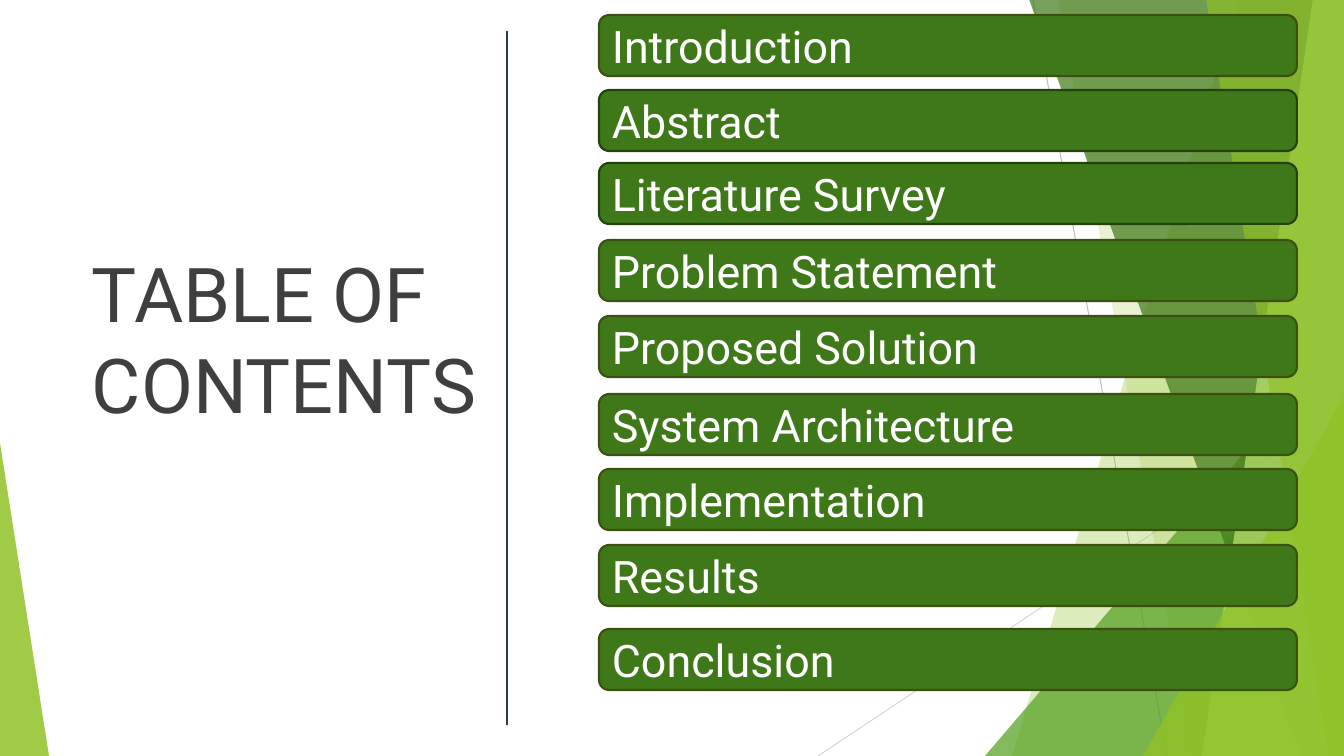
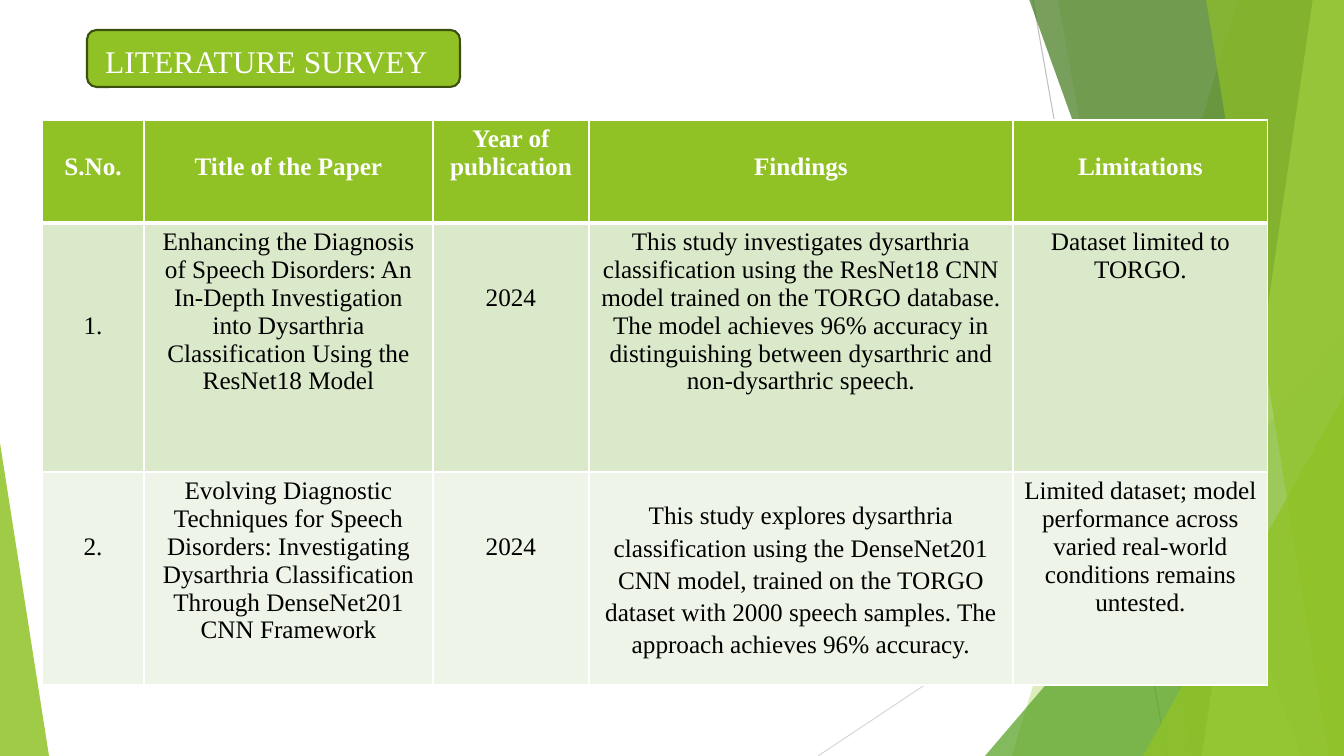
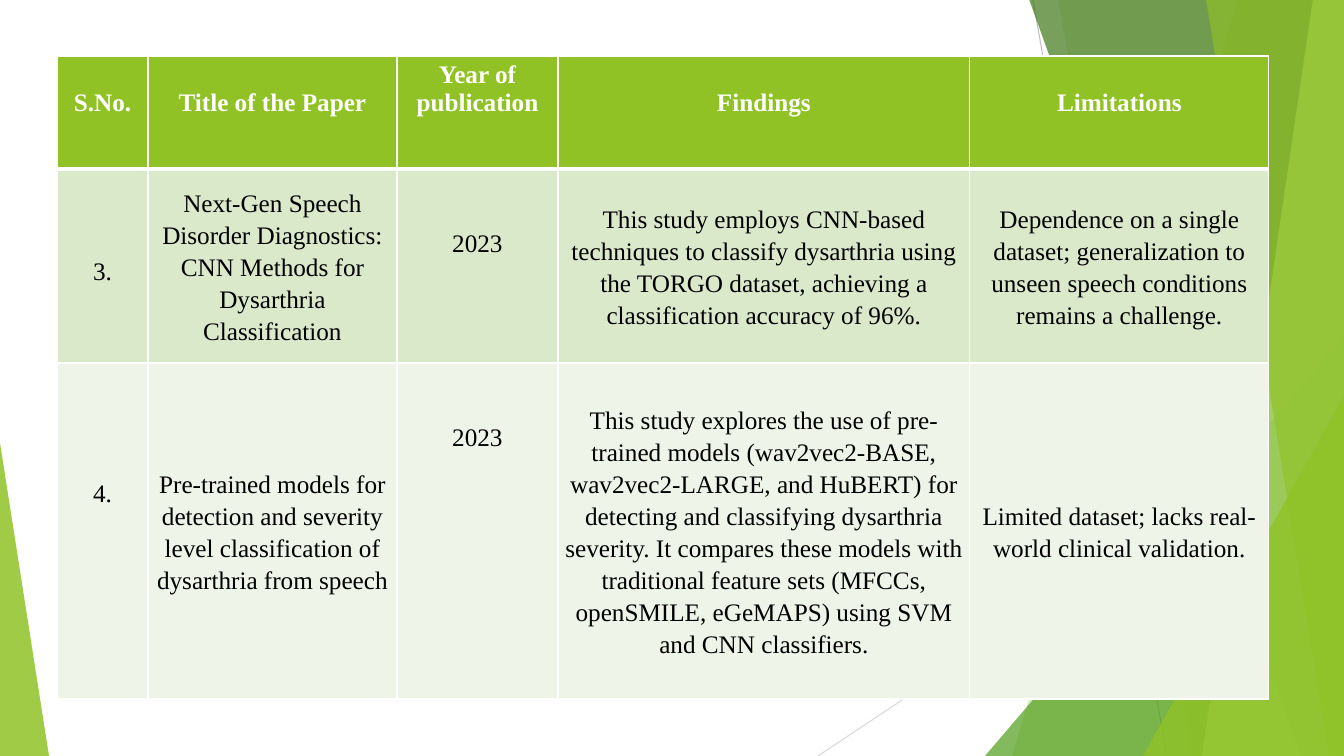
from lxml import etree
from pptx import Presentation
from pptx import util as u
from pptx.dml.color import RGBColor
from pptx.enum import shapes as es, text as et
from pptx.oxml.ns import qn

PX = 914400 / 100.8
WIDTH, HEIGHT = 1344, 756
SANS, SERIF = "Roboto", "Times New Roman"
WHITE, BLACK, GREY = "FFFFFF", "000000", "3F3F3F"
LIME, GREEN, OLIVE, FOREST = "90C226", "3F7818", "3C5110", "23430D"
ROW_FILLS = [LIME, "DBE9CB", "EEF4E7"]

# Backdrop: lines are (x1, y1, x2, y2, colour); bands run from a slanted left
# edge (top x, bottom x) to the right side; triangles have an apex at 0 or 1.
BACK_LINES = [(1033, 0, 1167, 756, "BFBFBF"), (1344, 406, 818, 756, "D8D8D8")]
BACKDROP = [
    ("band", (1238, 1012), LIME, 30),
    ("band", (1058, 1192), LIME, 20),
    ("triangle", (985, 336, 359, 420, 1), "54A021", 72),
    ("band", (1029, 1301), GREEN, 70),
    ("band", (1313, 1202), "BFE471", 70),
    ("band", (1206, 1329), LIME, 65),
    ("triangle", (1143, 396, 201, 360, 1), LIME, 80),
    ("triangle", (0, 443, 49, 313, 0), LIME, 85),
]

# Contents entries: text, top, outline colour
CONTENTS = [
    ("Introduction", 15, OLIVE),
    ("Abstract", 90, FOREST),
    ("Literature Survey", 163, FOREST),
    ("Problem Statement", 240, OLIVE),
    ("Proposed Solution", 316, OLIVE),
    ("System Architecture", 394, OLIVE),
    ("Implementation", 469, OLIVE),
    ("Results", 545, OLIVE),
    ("Conclusion", 629, OLIVE),
]

# Table cells: text, then the number of lines it is lowered by, or MID
MID = "middle"
HEADER = [("S.No.", 1), ("Title of the Paper", 1), ("Year of publication", 0),
          ("Findings", 1), ("Limitations", 1)]
SURVEY_1 = dict(
    left=42, top=120, cols=[102, 289, 156, 424, 255], heights=[103, 249, 213],
    rows=[
        HEADER,
        [("1.", 3),
         ("Enhancing the Diagnosis of Speech Disorders: An In-Depth Investigation "
          "into Dysarthria Classification Using the ResNet18 Model", 0),
         ("2024", 2),
         ("This study investigates dysarthria classification using the ResNet18 CNN "
          "model trained on the TORGO database. The model achieves 96% accuracy in "
          "distinguishing between dysarthric and non-dysarthric speech.", 0),
         ("Dataset limited to TORGO.", 0)],
        [("2.", 2),
         ("Evolving Diagnostic Techniques for Speech Disorders: Investigating "
          "Dysarthria Classification Through DenseNet201 CNN Framework", 0),
         ("2024", 2),
         ("This study explores dysarthria classification using the DenseNet201 CNN "
          "model, trained on the TORGO dataset with 2000 speech samples. The "
          "approach achieves 96% accuracy.", MID),
         ("Limited dataset; model performance across varied real-world conditions "
          "remains untested.", 0)],
    ])
SURVEY_2 = dict(
    left=57, top=56, cols=[91, 249, 161, 412, 299], heights=[113, 194, 336],
    rows=[
        HEADER,
        [("3.", 3),
         ("Next-Gen Speech Disorder Diagnostics: CNN Methods for Dysarthria "
          "Classification", MID),
         ("2023", 2),
         ("This study employs CNN-based techniques to classify dysarthria using the "
          "TORGO dataset, achieving a classification accuracy of 96%.", MID),
         ("Dependence on a single dataset; generalization to unseen speech "
          "conditions remains a challenge.", MID)],
        [("4.", 4),
         ("Pre-trained models for detection and severity level classification of "
          "dysarthria from speech", MID),
         ("2023", 2),
         ("This study explores the use of pre-trained models (wav2vec2-BASE, "
          "wav2vec2-LARGE, and HuBERT) for detecting and classifying dysarthria "
          "severity. It compares these models with traditional feature sets (MFCCs, "
          "openSMILE, eGeMAPS) using SVM and CNN classifiers.", MID),
         ("Limited dataset; lacks real-world clinical validation.", MID)],
    ])


def px(n):
    return u.Emu(round(n * PX))


def rgb(value):
    return RGBColor.from_string(value)


def write(tf, text, size=18, font=SERIF, color=BLACK, bold=False,
          align=et.PP_ALIGN.LEFT, spacing=None):
    tf.word_wrap = True
    p = tf.paragraphs[0]
    p.alignment = align
    if spacing:
        p.line_spacing = spacing
    r = p.add_run()
    r.text = text
    f = r.font
    f.size, f.name, f.bold, f.color.rgb = u.Pt(size), font, bold, rgb(color)


def paint(sp, color, outline=None, alpha=None):
    sp.shadow.inherit = False
    sp.fill.solid()
    sp.fill.fore_color.rgb = rgb(color)
    if alpha:
        clr = sp.element.spPr.find(qn("a:solidFill"))[0]
        etree.SubElement(clr, qn("a:alpha"), val=str(alpha * 1000))
    if outline:
        sp.line.color.rgb, sp.line.width = rgb(outline), u.Pt(1.5)
    else:
        sp.line.fill.background()


def add_line(shapes, x1, y1, x2, y2, color, width=0.75):
    c = shapes.add_connector(es.MSO_CONNECTOR.STRAIGHT, px(x1), px(y1), px(x2), px(y2))
    c.line.color.rgb, c.line.width = rgb(color), u.Pt(width)
    etree.SubElement(c.element.spPr, qn("a:effectLst"))


def add_bar(s, left, top, width, height, fill, outline):
    bar = s.shapes.add_shape(es.MSO_SHAPE.ROUNDED_RECTANGLE,
                             px(left), px(top), px(width), px(height))
    paint(bar, fill, outline)
    return bar


def set_title(s, text, box, anchor, inset=10, **fmt):
    title = s.shapes.title
    title.left, title.top, title.width, title.height = map(px, box)
    tf = title.text_frame
    tf.auto_size, tf.vertical_anchor = et.MSO_AUTO_SIZE.NONE, anchor
    tf.margin_left = px(inset)
    write(tf, text, **fmt)
    return title


def add_backdrop(prs, s):
    """Draw the shared backdrop as a group and move it to the slide master."""
    group = s.shapes.add_group_shape()
    for line in BACK_LINES:
        add_line(group.shapes, *line)
    for kind, geometry, color, alpha in BACKDROP:
        if kind == "band":
            top_x, bottom_x = geometry
            outline = group.shapes.build_freeform(top_x, -1, scale=PX)
            outline.add_line_segments([(WIDTH, -1), (WIDTH, HEIGHT), (bottom_x, HEIGHT)])
            sp = outline.convert_to_shape()
        else:
            *box, apex = geometry
            sp = group.shapes.add_shape(es.MSO_SHAPE.ISOSCELES_TRIANGLE, *map(px, box))
            sp.adjustments[0] = apex
        paint(sp, color, alpha=alpha)
    for number, props in enumerate(group.element.iter(qn("p:cNvPr")), 100):
        props.set("id", str(number))
    prs.slide_master.shapes.element.insert(2, group.element)


def set_borders(cell, **widths):
    """Draw white cell borders; widths are points by side (L, R, T, B)."""
    tc_pr = cell._tc.get_or_add_tcPr()
    for side in "LRTB":
        ln = etree.SubElement(tc_pr, qn("a:ln" + side), w=str(u.Pt(widths.get(side, 1))))
        fill = etree.SubElement(ln, qn("a:solidFill"))
        etree.SubElement(fill, qn("a:srgbClr"), val=WHITE)


def add_survey(s, left, top, cols, heights, rows):
    table = s.shapes.add_table(len(rows), len(cols), px(left), px(top),
                               px(sum(cols)), px(sum(heights))).table
    table.first_row = table.horz_banding = False
    for column, width in zip(table.columns, cols):
        column.width = px(width)
    for i, (row, height) in enumerate(zip(rows, heights)):
        table.rows[i].height = px(height)
        head = i == 0
        for j, (text, place) in enumerate(row):
            cell = table.cell(i, j)
            set_borders(cell, **({"B": 3} if head else {"T": 3} if i == 1 else {}))
            cell.fill.solid()
            cell.fill.fore_color.rgb = rgb(ROW_FILLS[i])
            mid = place == MID
            side, edge = (1, 1) if mid else (10, 5)
            cell.margin_left = cell.margin_right = px(side)
            cell.margin_top = px(edge if mid else edge + 28 * place)
            cell.margin_bottom = px(edge)
            cell.vertical_anchor = et.MSO_ANCHOR.MIDDLE if mid else et.MSO_ANCHOR.TOP
            write(cell.text_frame, text, color=WHITE if head else BLACK, bold=head,
                  align=et.PP_ALIGN.CENTER, spacing=1.15 if mid else None)


def main():
    prs = Presentation()
    prs.slide_width, prs.slide_height = px(WIDTH), px(HEIGHT)
    title_only, blank = prs.slide_layouts[5], prs.slide_layouts[6]

    s = prs.slides.add_slide(title_only)
    add_backdrop(prs, s)
    set_title(s, "TABLE OF CONTENTS", (82, 242, 425, 285), et.MSO_ANCHOR.TOP,
              size=54, font=SANS, color=GREY)
    add_line(s.shapes, 507, 31, 507, 725, "2C3C43", 1)
    for text, top, outline in CONTENTS:
        bar = add_bar(s, 599, top, 698, 61, GREEN, outline)
        bar.text_frame.vertical_anchor = et.MSO_ANCHOR.MIDDLE
        write(bar.text_frame, text, size=32, font=SANS, color=WHITE)

    s = prs.slides.add_slide(title_only)
    badge = add_bar(s, 87, 30, 373, 57, LIME, OLIVE)
    title = set_title(s, "LITERATURE SURVEY", (87, 28, 373, 57), et.MSO_ANCHOR.BOTTOM,
                      inset=18, size=22.5, color=WHITE)
    title.element.addprevious(badge.element)
    add_survey(s, **SURVEY_1)

    s = prs.slides.add_slide(blank)
    add_survey(s, **SURVEY_2)

    prs.save("out.pptx")


if __name__ == "__main__":
    main()
